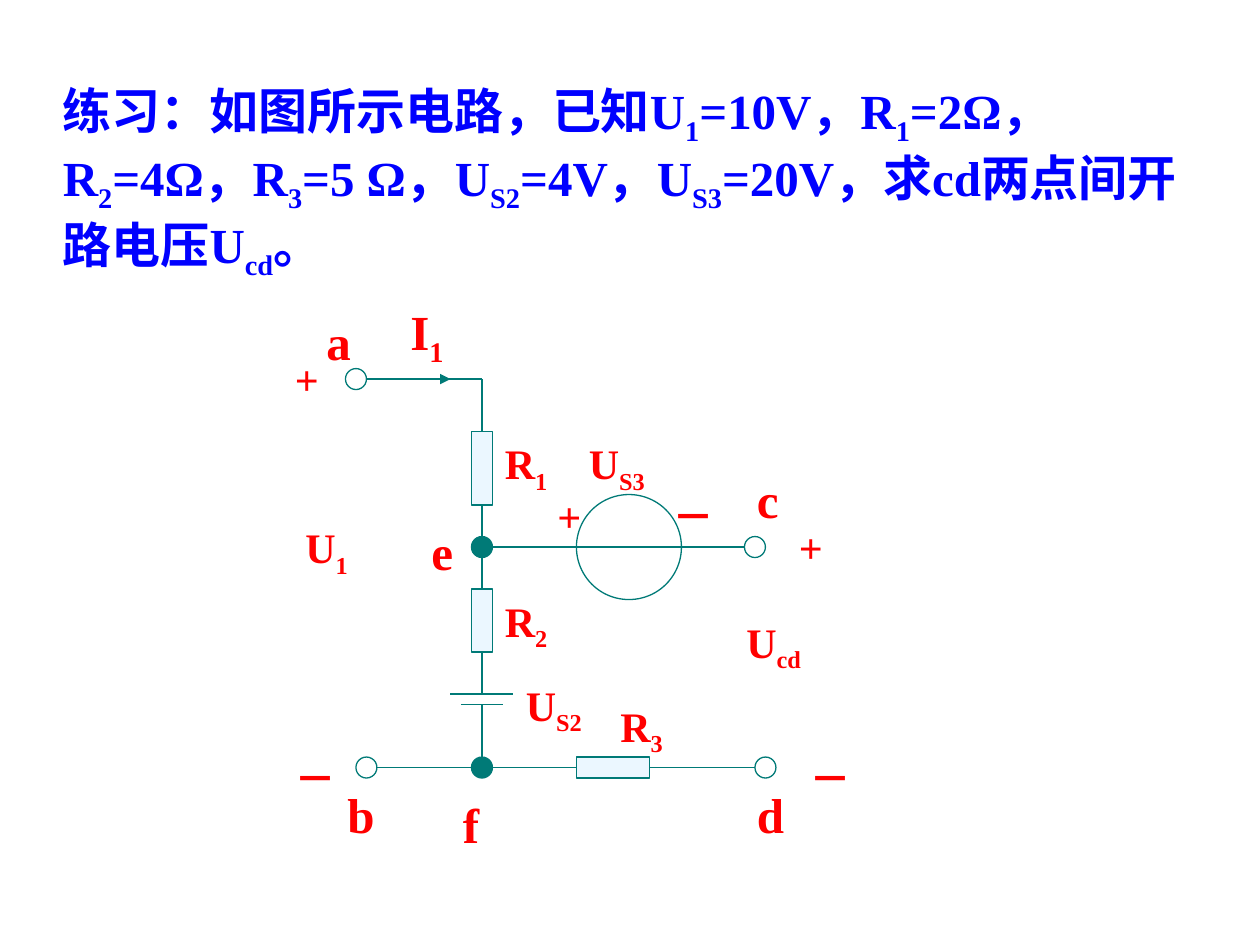
from lxml import etree
from pptx import Presentation, util as u
from pptx.dml.color import RGBColor
from pptx.enum import shapes, text
from pptx.oxml.ns import qn

BLUE, RED, TEAL, PALE = "0000FF", "FF0000", "007A77", "EBF7FF"
FONT = "Times New Roman"

# Text alternates between normal and subscript pieces
QUESTION = ["练习：如图所示电路，已知U", "1", "=10V，R", "1", "=2Ω，R", "2", "=4Ω，R", "3",
            "=5 Ω，U", "S2", "=4V，U", "S3", "=20V，求cd两点间开路电压U", "cd", "。"]

# The circuit lies on a 6 pt grid whose origin is the corner above R1
GRID, LEFT, TOP = 6, 275.4, 216.6
WIRES = [(0, 5, 0, 0), (0, 0, -11, 0), (0, 12, 0, 20), (0, 26, 0, 30),
         (0, 31, 0, 37), (-10, 37, 9, 37), (0, 16, 25, 16), (16, 37, 26, 37)]
BATTERY = [(-3, 30, 3, 30), (-2, 31, 2, 31)]
CURRENT = (-8, 0, -3, 0)
RESISTORS = [(-1, 5, 2, 7), (-1, 20, 2, 6), (9, 36, 7, 2)]  # left, top, width, height
# Centre x, centre y, radius, fill
CIRCLES = [(14, 16, 5, None), (26, 16, 1, None), (27, 37, 1, None), (-12, 0, 1, None),
           (-11, 37, 1, None), (0, 37, 1, TEAL), (0, 16, 1, TEAL)]
# Left, top, width, pieces
LABELS = {
    24: [(1, 5, 8, ["R", "1"]), (1, 20, 8, ["R", "2"]), (12, 30, 8, ["R", "3"]),
         (3, 28, 9, ["U", "S2"]), (9, 5, 9, ["U", "S3"]),
         (-18, 13, 12, ["U", "1"]), (24, 22, 9, ["U", "cd"]),
         (29, 13, 8, ["+"]), (30, 35, 8, ["－"]), (-19, 35, 8, ["－"]),
         (-19, -3, 8, ["+"]), (6, 10, 8, ["+"]), (17, 10, 8, ["－"])],
    28: [(25, 8, 7, ["c"]), (25, 38, 7, ["d"]), (-16, -7, 7, ["a"]), (-14, 38, 9, ["b"]),
         (-6, 13, 9, ["e"]), (-3, 39, 7, ["f"]), (-8, -8, 11, ["I", "1"])],
}


def color(value):
    return RGBColor.from_string(value)


def place(x, y):
    return u.Pt(LEFT + GRID * x), u.Pt(TOP + GRID * y)


def add_text(left, top, width, height, pieces, size, ink):
    box = page.shapes.add_textbox(left, top, width, height)
    box.text_frame.word_wrap = True
    box.text_frame.auto_size = text.MSO_AUTO_SIZE.SHAPE_TO_FIT_TEXT
    para = box.text_frame.paragraphs[0]
    for index, piece in enumerate(pieces):
        span = para.add_run()
        span.text = piece
        span.font.name, span.font.size, span.font.bold = FONT, u.Pt(size), True
        span.font.color.rgb = color(ink)
        if index % 2:
            span.font._element.set("baseline", "-25000")


def add_wire(x1, y1, x2, y2, arrow=False):
    wire = page.shapes.add_connector(shapes.MSO_CONNECTOR.STRAIGHT, *place(x1, y1), *place(x2, y2))
    wire.line.color.rgb, wire.line.width = color(TEAL), u.Pt(0.75)
    if arrow:
        etree.SubElement(wire.line._get_or_add_ln(), qn("a:tailEnd"), type="triangle")
    etree.SubElement(wire._element.spPr, qn("a:effectLst"))


def add_part(kind, x, y, width, height, fill):
    part = page.shapes.add_shape(kind, *place(x, y), u.Pt(GRID * width), u.Pt(GRID * height))
    part.shadow.inherit = False
    part.line.color.rgb, part.line.width = color(TEAL), u.Pt(0.75)
    if fill:
        part.fill.solid()
        part.fill.fore_color.rgb = color(fill)
    else:
        part.fill.background()


deck = Presentation()
deck.slide_width, deck.slide_height = u.Pt(720), u.Pt(540)
page = deck.slides.add_slide(deck.slide_layouts[6])

# Question
add_text(u.Pt(28.8), u.Pt(42.5), u.Pt(671.8), u.Pt(122.4), QUESTION, 28, BLUE)

# Circuit
for ends in WIRES + BATTERY:
    add_wire(*ends)
add_wire(*CURRENT, arrow=True)
for frame in RESISTORS:
    add_part(shapes.MSO_SHAPE.RECTANGLE, *frame, PALE)
for x, y, radius, fill in CIRCLES:
    add_part(shapes.MSO_SHAPE.OVAL, x - radius, y - radius, 2 * radius, 2 * radius, fill)

# Labels
for size, labels in LABELS.items():
    for x, y, width, pieces in labels:
        add_text(*place(x, y), u.Pt(GRID * width), u.Pt(size + 13), pieces, size, RED)

deck.save("out.pptx")
